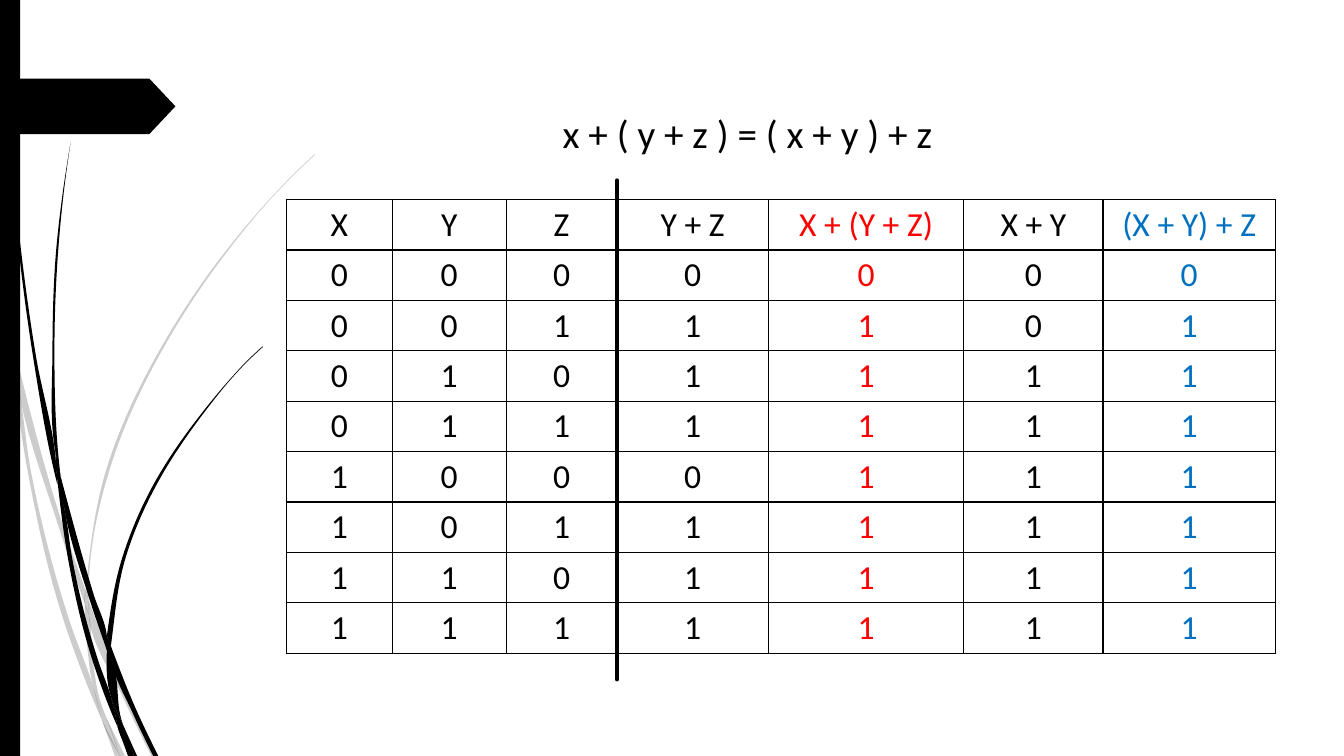
from itertools import product

from lxml import etree
from pptx import Presentation
from pptx.dml.color import RGBColor
from pptx.enum.shapes import MSO_CONNECTOR, MSO_SHAPE
from pptx.enum.text import MSO_ANCHOR, PP_ALIGN
from pptx.oxml.ns import qn
from pptx.util import Inches, Pt

RECT, TAG, STRAIGHT = MSO_SHAPE.RECTANGLE, MSO_SHAPE.PENTAGON, MSO_CONNECTOR.STRAIGHT
LEFT, CENTER, MIDDLE = PP_ALIGN.LEFT, PP_ALIGN.CENTER, MSO_ANCHOR.MIDDLE

W, H = 13.33, 7.5
FONT = "Calibri"
COLORS = {"ink": "000000", "left": "FF0000", "right": "0070C0"}

# Table grid: left, top, row height and column widths
TABLE_X, TABLE_Y, ROW_H = 2.84, 1.98, 0.5
COL_W = [1.05, 1.13, 1.1, 1.5, 1.94, 1.38, 1.71]
HEADERS = ["X", "Y", "Z", "Y + Z", "X + (Y + Z)", "X + Y", "(X + Y) + Z"]
COL_COLORS = ["ink"] * 4 + ["left", "ink", "right"]

# Grass: each piece has two edges, given as (x, y) knots from top to bottom
PALE_GRASS = [
    ([(0, 2.82), (.09, 3.22), (.11, 3.5)], [(0, 2.99), (.1, 3.44), (.11, 3.5)]),
    ([(.14, 3.45), (.62, 5.2), (.85, 5.86)],
     [(.14, 3.45), (.17, 3.76), (.58, 5.22), (.84, 5.99)]),
    ([(.88, 5.96), (.92, 6.07), (1.27, 6.92), (1.55, H)],
     [(.88, 5.96), (.88, 6.1), (1.23, 6.94), (1.5, H)]),
    ([(1.05, 7.11), (1.24, H)], [(1.05, 7.11), (1.19, H)]),
    ([(.11, 3.5), (.17, 3.76), (.31, 4.69), (.7, 6.19), (.93, 6.83), (1.01, 7.14)],
     [(.11, 3.5), (.28, 4.7), (.65, 6.21), (.92, 6.93), (1.01, 7.14)]),
    ([(.84, 5.99), (.88, 6.1), (.91, 6.46), (1.03, 7.06), (1.05, 7.11)],
     [(.84, 5.99), (.87, 6.46), (.93, 6.83), (.96, 6.92), (1.05, 7.11)]),
    ([(3.12, 1.53), (2.89, 1.75), (2.68, 1.97), (2.28, 2.44), (1.58, 3.48), (1.07, 4.61),
      (.85, 5.86)],
     [(3.12, 1.54), (2.9, 1.75), (2.68, 1.98), (2.29, 2.45), (1.6, 3.49), (1.1, 4.62),
      (.88, 5.84), (.88, 5.96)]),
    ([(1.01, 7.14), (1.19, H)], [(1.01, 7.14), (1.14, H)]),
    ([(.85, 5.86), (.88, 5.96), (.88, 6.1)], [(.85, 5.86), (.84, 5.99), (.88, 6.1)]),
    ([(.93, 6.83), (.96, 6.92), (1.05, 7.11), (1.19, H)],
     [(.93, 6.83), (.99, 7.07), (1.01, 7.14), (1.19, H)]),
]
DARK_GRASS = [
    ([(.04, 0), (.05, .48), (.08, 1.09), (.19, 2.32), (.36, 3.55), (.55, 4.53), (.57, 4.81)],
     [(.03, 0), (.04, .48), (.07, 1.1), (.17, 2.33), (.33, 3.55), (.56, 4.77), (.57, 4.81)]),
    ([(.6, 4.72), (.93, 5.9), (1.06, 6.31), (1.06, 6.45)],
     [(.6, 4.72), (.64, 5.05), (.88, 5.92), (1.06, 6.45)]),
    ([(1.1, 6.41), (1.13, 6.49), (1.36, 7.06), (1.57, H)],
     [(1.1, 6.41), (1.11, 6.56), (1.32, 7.08), (1.52, H)]),
    ([(.57, 4.77), (.64, 5.05), (.72, 5.56), (.98, 6.57), (1.1, 6.91), (1.17, 7.22)],
     [(.57, 4.77), (.68, 5.57), (.93, 6.59), (1.11, 7.08), (1.17, 7.22)]),
    ([(.7, 1.41), (.63, 1.93), (.58, 2.45), (.54, 3.49), (.58, 4.53), (.6, 4.72)],
     [(.7, 1.41), (.62, 1.93), (.56, 2.45), (.52, 3.49), (.55, 4.49), (.6, 4.72)]),
    ([(1.22, 7.19), (1.36, H)], [(1.22, 7.19), (1.33, H)]),
    ([(.55, 4.49), (.6, 4.72), (.64, 5.05)], [(.55, 4.49), (.57, 4.77), (.64, 5.05)]),
    ([(2.6, 3.44), (2.45, 3.58), (2.31, 3.73), (2.04, 4.05), (1.56, 4.74), (1.22, 5.51),
      (1.06, 6.31)],
     [(2.61, 3.44), (2.45, 3.59), (2.31, 3.74), (2.05, 4.06), (1.58, 4.76), (1.25, 5.52),
      (1.11, 6.33), (1.1, 6.41)]),
    ([(1.17, 7.22), (1.31, H)], [(1.17, 7.22), (1.27, H)]),
    ([(1.06, 6.45), (1.11, 6.56), (1.21, 7.16), (1.22, 7.19)],
     [(1.06, 6.45), (1.1, 6.91), (1.16, 7.06), (1.22, 7.19)]),
    ([(1.06, 6.31), (1.1, 6.41), (1.11, 6.56)], [(1.06, 6.31), (1.06, 6.45), (1.11, 6.56)]),
    ([(1.1, 6.91), (1.16, 7.06), (1.22, 7.19), (1.33, H)],
     [(1.1, 6.91), (1.16, 7.17), (1.17, 7.22), (1.3, H)]),
]


def rgb(name):
    return RGBColor.from_string(COLORS[name])


def paint(sp, opacity=100):
    sp.shadow.inherit = False
    sp.fill.solid()
    sp.fill.fore_color.rgb = rgb("ink")
    sp.line.fill.background()
    if opacity < 100:
        color = sp._element.spPr.find(qn("a:solidFill"))[0]
        etree.SubElement(color, qn("a:alpha"), val=str(opacity * 1000))


def format_text(p, size, color, align):
    p.alignment = align
    p.font.name, p.font.size = FONT, Pt(size)
    p.font.color.rgb = rgb(color)


def curve(knots):
    """Bezier points (two handles and an end per span), with x as a function of y."""
    spans = list(zip(knots, knots[1:]))
    heights = [b[1] - a[1] for a, b in spans]
    chords = [(b[0] - a[0]) / h for (a, b), h in zip(spans, heights)]
    inner = [(chords[i] * heights[i + 1] + chords[i + 1] * heights[i])
             / (heights[i] + heights[i + 1]) for i in range(len(chords) - 1)]
    first, last = (inner[0], inner[-1]) if inner else (chords[0], chords[0])
    slopes = [1.5 * chords[0] - first / 2, *inner, 1.5 * chords[-1] - last / 2]
    points = []
    for i, (a, b) in enumerate(spans):
        h = heights[i] / 3
        points += [(a[0] + slopes[i] * h, a[1] + h), (b[0] - slopes[i + 1] * h, b[1] - h), b]
    return points


def straight(a, b):
    return [] if a == b else [a, b, b]


def add_grass(s, edge, other_edge, opacity):
    outline = (edge[:1] + curve(edge) + straight(edge[-1], other_edge[-1])
               + curve(other_edge[::-1]) + straight(other_edge[0], edge[0]))
    points = [(Inches(x), Inches(y)) for x, y in outline]
    builder = s.shapes.build_freeform(*points[0], scale=1.0)
    builder.add_line_segments(points[1:], close=True)
    sp = builder.convert_to_shape()
    # Every three points become one curve
    steps = list(sp._element.iter(qn("a:lnTo")))
    for i in range(0, len(steps), 3):
        bezier = etree.Element(qn("a:cubicBezTo"))
        steps[i].addprevious(bezier)
        for step in steps[i:i + 3]:
            bezier.append(step[0])
            step.getparent().remove(step)
    paint(sp, opacity)


def add_block(s, kind, x, y, w, h):
    sp = s.shapes.add_shape(kind, Inches(x), Inches(y), Inches(w), Inches(h))
    paint(sp)
    return sp


def add_title(s, text):
    sp = s.shapes.title
    sp.left, sp.top, sp.width, sp.height = map(Inches, (5.48, 1.03, 4.75, 0.57))
    tf = sp.text_frame
    tf.text, tf.vertical_anchor = text, MIDDLE
    format_text(tf.paragraphs[0], 28, "ink", LEFT)


def set_borders(cell):
    tcPr = cell._tc.get_or_add_tcPr()
    for i, side in enumerate(("lnL", "lnR", "lnT", "lnB")):
        ln = etree.Element(qn("a:" + side), w=str(Pt(1)))
        fill = etree.SubElement(ln, qn("a:solidFill"))
        etree.SubElement(fill, qn("a:srgbClr"), val=COLORS["ink"])
        tcPr.insert(i, ln)


def add_truth_table(s, rows):
    frame = s.shapes.add_table(len(rows), len(COL_W), Inches(TABLE_X), Inches(TABLE_Y),
                               Inches(sum(COL_W)), Inches(ROW_H * len(rows)))
    table = frame.table
    table.first_row = table.horz_banding = False
    for column, width in zip(table.columns, COL_W):
        column.width = Inches(width)
    for r, values in enumerate(rows):
        table.rows[r].height = Inches(ROW_H)
        for c, value in enumerate(values):
            cell = table.cell(r, c)
            cell.text = str(value)
            cell.fill.background()
            cell.vertical_anchor = MIDDLE
            cell.margin_top = cell.margin_bottom = Inches(0.04)
            format_text(cell.text_frame.paragraphs[0], 24, COL_COLORS[c], CENTER)
            set_borders(cell)


def add_divider(s, x, top, bottom):
    line = s.shapes.add_connector(STRAIGHT, Inches(x), Inches(top), Inches(x), Inches(bottom))
    line.line.color.rgb = rgb("ink")
    line.line.width = Pt(3)
    line.line._get_or_add_ln().set("cap", "rnd")
    etree.SubElement(line._element.spPr, qn("a:effectLst"))


def main():
    prs = Presentation()
    prs.slide_width, prs.slide_height = Inches(W), Inches(H)
    s = prs.slides.add_slide(prs.slide_layouts[5])
    # Side decoration
    for pieces, opacity in ((PALE_GRASS, 20), (DARK_GRASS, 100)):
        for edge, other_edge in pieces:
            add_grass(s, edge, other_edge, opacity)
    add_block(s, RECT, 0, 0, 0.2, H)
    add_block(s, TAG, 0, 0.78, 1.74, 0.55).adjustments[0] = 0.47
    # Associative law and its truth table
    add_title(s, "x + ( y + z ) = ( x + y ) + z")
    cases = [(x, y, z, y | z, x | (y | z), x | y, (x | y) | z)
             for x, y, z in product((0, 1), repeat=3)]
    add_truth_table(s, [HEADERS] + cases)
    # Line between the inputs and the results
    add_divider(s, TABLE_X + sum(COL_W[:3]), 1.79, 6.74)
    prs.save("out.pptx")


if __name__ == "__main__":
    main()
